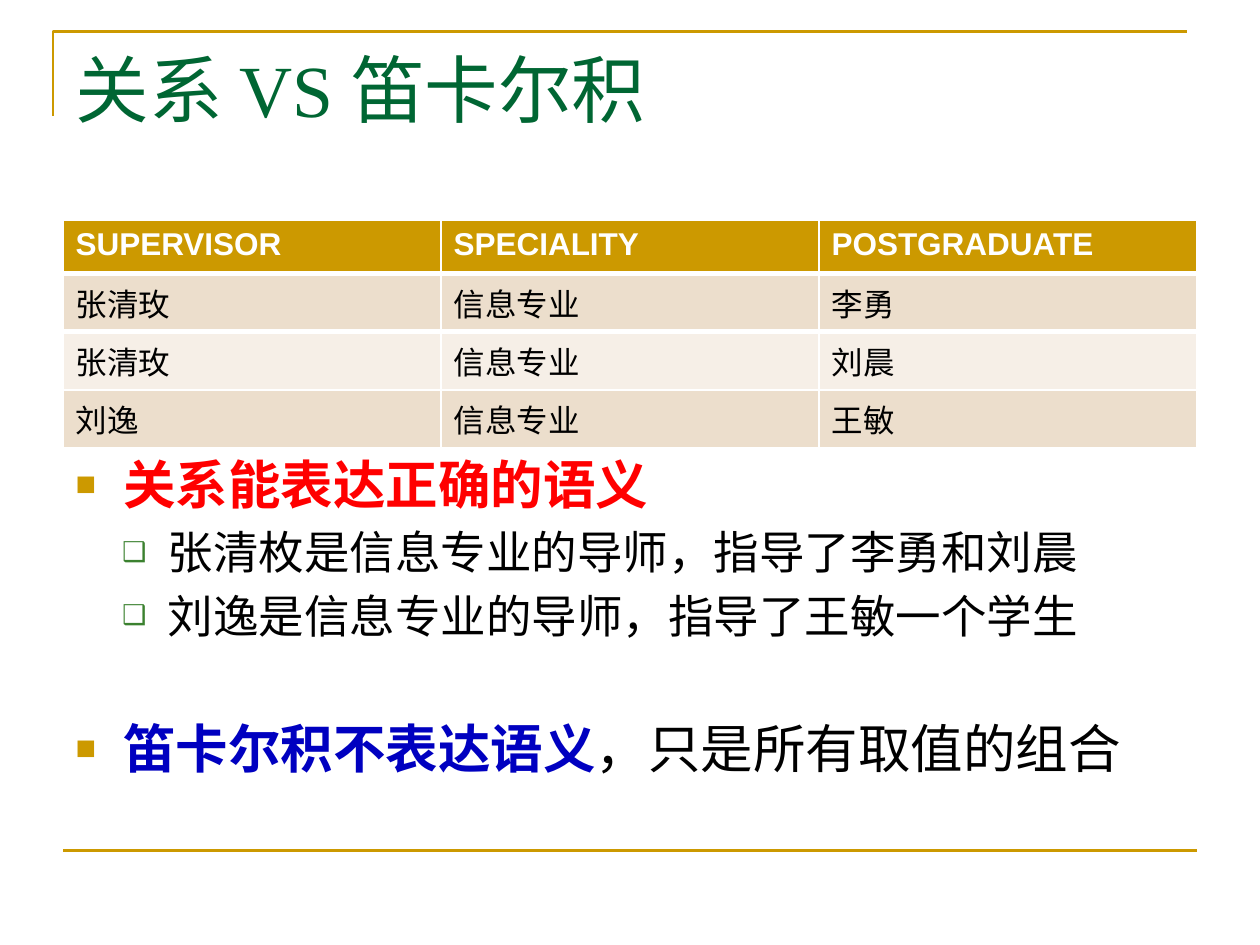
from lxml import etree
from pptx import Presentation
from pptx.dml.color import RGBColor
from pptx.enum.shapes import MSO_CONNECTOR
from pptx.enum.text import MSO_ANCHOR, MSO_AUTO_SIZE, PP_ALIGN
from pptx.oxml.ns import qn
from pptx.util import Inches, Pt

STRAIGHT = MSO_CONNECTOR.STRAIGHT
TOP = MSO_ANCHOR.TOP
NO_FIT = MSO_AUTO_SIZE.NONE
LEFT = PP_ALIGN.LEFT

GOLD, GREEN, BULLET_GREEN = "CC9900", "006633", "3B812F"
RED, BLUE, BLACK, WHITE = "FF0000", "0000C0", "000000", "FFFFFF"
BANDS = ("ECDECC", "F6EFE7")

# Per list level: character, colour, size in percent, left indent, hanging indent, text size
LEVELS = (
    ("■", GOLD, 65, 0.38, 0.38, 30),
    ("❑", BULLET_GREEN, 60, 0.73, 0.36, 26),
)


def color(value):
    return RGBColor.from_string(value)


class SlideBuilder:
    def __init__(self, deck):
        self.slide = deck.slides.add_slide(deck.slide_layouts[1])
        self.font = "Arial"
        self.title_font = "Times New Roman"

    def style(self, span, size, shade, bold=False, font=None):
        span.font.name = font or self.font
        span.font.size = Pt(size)
        span.font.bold = bold
        span.font.color.rgb = color(shade)

    def stroke(self, shape):
        shape.line.color.rgb = color(GOLD)
        shape.line.width = Pt(1.5)

    def place(self, box, left, top, width, height):
        box.left, box.top = Inches(left), Inches(top)
        box.width, box.height = Inches(width), Inches(height)
        frame = box.text_frame
        frame.word_wrap = True
        frame.auto_size = NO_FIT
        frame.vertical_anchor = TOP
        return frame

    def corner(self, left, bottom, top, right):
        builder = self.slide.shapes.build_freeform(Inches(left), Inches(bottom))
        points = [(left, top), (right, top)]
        builder.add_line_segments([(Inches(x), Inches(y)) for x, y in points], close=False)
        shape = builder.convert_to_shape()
        shape.fill.background()
        shape.shadow.inherit = False
        self.stroke(shape)

    def rule(self, left, right, y):
        line = self.slide.shapes.add_connector(
            STRAIGHT, Inches(left), Inches(y), Inches(right), Inches(y))
        self.stroke(line)
        etree.SubElement(line._element.spPr, qn("a:effectLst"))

    def title(self, text, *area):
        para = self.place(self.slide.shapes.title, *area).paragraphs[0]
        para.text = text
        para.alignment = LEFT
        self.style(para.runs[0], 42, GREEN, font=self.title_font)

    def edge(self, cell, side, points):
        props = cell._tc.get_or_add_tcPr()
        line = etree.Element(qn(f"a:{side}"), w=str(Pt(points)))
        fill = etree.SubElement(line, qn("a:solidFill"))
        etree.SubElement(fill, qn("a:srgbClr"), val=WHITE)
        props.insert(0, line)

    def table(self, rows, left, top, width, row_height):
        grid = self.slide.shapes.add_table(
            len(rows), len(rows[0]), Inches(left), Inches(top),
            Inches(width), Inches(row_height * len(rows))).table
        for r, row in enumerate(rows):
            header = r == 0
            for c, text in enumerate(row):
                cell = grid.cell(r, c)
                cell.text = text
                cell.fill.solid()
                cell.fill.fore_color.rgb = color(GOLD if header else BANDS[(r - 1) % 2])
                span = cell.text_frame.paragraphs[0].runs[0]
                self.style(span, 18, WHITE if header else BLACK, header)
                # Thick line under the header
                if r < 2:
                    self.edge(cell, "lnB" if header else "lnT", 3)

    def bullet(self, para, level):
        char, shade, percent, indent, hanging, _ = LEVELS[level]
        para.level = level
        props = para._p.get_or_add_pPr()
        props.set("marL", str(Inches(indent)))
        props.set("indent", str(-Inches(hanging)))
        tint = etree.SubElement(props, qn("a:buClr"))
        etree.SubElement(tint, qn("a:srgbClr"), val=shade)
        etree.SubElement(props, qn("a:buSzPct"), val=str(percent * 1000))
        etree.SubElement(props, qn("a:buFont"), typeface=self.font)
        etree.SubElement(props, qn("a:buChar"), char=char)

    def bullets(self, items, *area):
        frame = self.place(self.slide.placeholders[1], *area)
        for index, (level, before, spans) in enumerate(items):
            para = frame.add_paragraph() if index else frame.paragraphs[0]
            self.bullet(para, level)
            para.space_before = Pt(before)
            for text, shade, bold in spans:
                span = para.add_run()
                span.text = text
                self.style(span, LEVELS[level][-1], shade, bold)


def main():
    deck = Presentation()
    deck.slide_width, deck.slide_height = Inches(10), Inches(7.5)
    page = SlideBuilder(deck)

    # Frame lines
    page.corner(0.42, 0.92, 0.25, 9.42)
    page.rule(0.5, 9.5, 6.75)

    # Title
    page.title("关系 VS 笛卡尔积", 0.5, 0.3, 9, 1.25)

    # Relation table
    page.table([
        ("SUPERVISOR", "SPECIALITY", "POSTGRADUATE"),
        ("张清玫", "信息专业", "李勇"),
        ("张清玫", "信息专业", "刘晨"),
        ("刘逸", "信息专业", "王敏"),
    ], 0.5, 1.75, 9, 0.42)

    # Conclusions: level, space before, spans
    page.bullets([
        (0, 0, [("关系能表达正确的语义", RED, True)]),
        (1, 5.2, [("张清枚是信息专业的导师，指导了李勇和刘晨", BLACK, False)]),
        (1, 5.2, [("刘逸是信息专业的导师，指导了王敏一个学生", BLACK, False)]),
        (0, 42, [("笛卡尔积不表达语义", BLUE, True),
                 ("，只是所有取值的组合", BLACK, False)]),
    ], 0.5, 3.54, 9, 3.16)

    deck.save("out.pptx")


if __name__ == "__main__":
    main()
